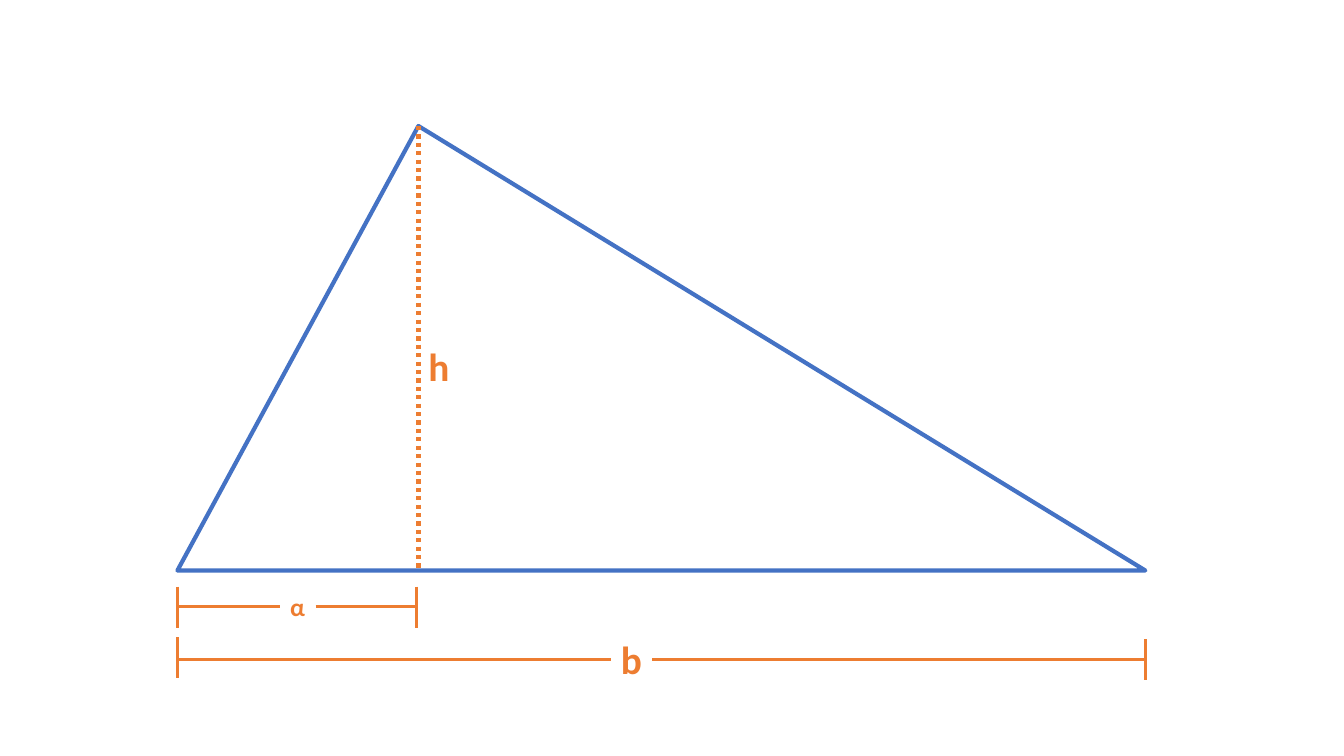
from lxml import etree
from pptx import Presentation
from pptx.dml.color import RGBColor
from pptx.enum.dml import MSO_LINE
from pptx.enum.shapes import MSO_CONNECTOR, MSO_SHAPE
from pptx.enum.text import MSO_AUTO_SIZE
from pptx.oxml.ns import qn
from pptx.util import Inches, Pt

STRAIGHT = MSO_CONNECTOR.STRAIGHT
TRIANGLE = MSO_SHAPE.ISOSCELES_TRIANGLE
DOTTED = MSO_LINE.ROUND_DOT  # written as sysDot
FIT_SHAPE = MSO_AUTO_SIZE.SHAPE_TO_FIT_TEXT

# Content: the triangle and its measures, in inches
BLUE, ORANGE = "4472C4", "ED7D31"
LEFT, RIGHT, APEX_X = 1.76, 11.36, 4.15
TOP, BASE = 1.25, 5.66
APEX_SHARE = 0.249
TICK = 0.41

HEIGHT_LABEL = ("h", (4.15, 3.35, 0.41, 0.57), 28)
# label, label box, text size, line y, line end x, (tick x, tick top) pairs
DIMENSIONS = [
    ("b", (6.06, 6.25, 0.41, 0.57), 28, 6.54, RIGHT, [(LEFT, 6.32), (RIGHT, 6.34)]),
    ("α", (2.78, 5.82, 0.35, 0.4), 18, 6.02, APEX_X, [(LEFT, 5.82), (4.13, 5.82)]),
]


def color(hex_code):
    return RGBColor.from_string(hex_code)


def add_line(slide, x1, y1, x2, y2, width=2.25, dash=None):
    line = slide.shapes.add_connector(
        STRAIGHT, Inches(x1), Inches(y1), Inches(x2), Inches(y2))
    line.line.color.rgb = color(ORANGE)
    line.line.width = Pt(width)
    if dash is not None:
        line.line.dash_style = dash
    etree.SubElement(line._element.spPr, qn("a:effectLst"))


def add_label(slide, text, box, size, hex_code=ORANGE, font="Calibri", bold=True):
    frame = slide.shapes.add_textbox(*map(Inches, box)).text_frame
    frame.word_wrap = False
    frame.auto_size = FIT_SHAPE
    run = frame.paragraphs[0].add_run()
    run.text = text
    run.font.name = font
    run.font.size = Pt(size)
    run.font.bold = bold
    run.font.color.rgb = color(hex_code)


def add_triangle(slide):
    triangle = slide.shapes.add_shape(
        TRIANGLE, Inches(LEFT), Inches(TOP), Inches(RIGHT - LEFT), Inches(BASE - TOP))
    triangle.adjustments[0] = APEX_SHARE
    triangle.shadow.inherit = False
    triangle.fill.background()
    triangle.line.color.rgb = color(BLUE)
    triangle.line.width = Pt(3)


def add_dimension(slide, label, box, size, y, end, ticks):
    # The line is broken on both sides of the label box
    box_left, _, box_width, _ = box
    add_label(slide, label, box, size)
    add_line(slide, LEFT, y, box_left, y)
    add_line(slide, box_left + box_width, y, end, y)
    for x, top in ticks:
        add_line(slide, x, top, x, top + TICK)


def main():
    deck = Presentation()
    deck.slide_width, deck.slide_height = Inches(13.33), Inches(7.5)
    slide = deck.slides.add_slide(deck.slide_layouts[6])

    # Triangle with its height
    add_triangle(slide)
    add_line(slide, APEX_X, TOP, APEX_X, BASE, width=3, dash=DOTTED)
    add_label(slide, *HEIGHT_LABEL)

    # Dimension lines below the base
    for dimension in DIMENSIONS:
        add_dimension(slide, *dimension)

    deck.save("out.pptx")


if __name__ == "__main__":
    main()
